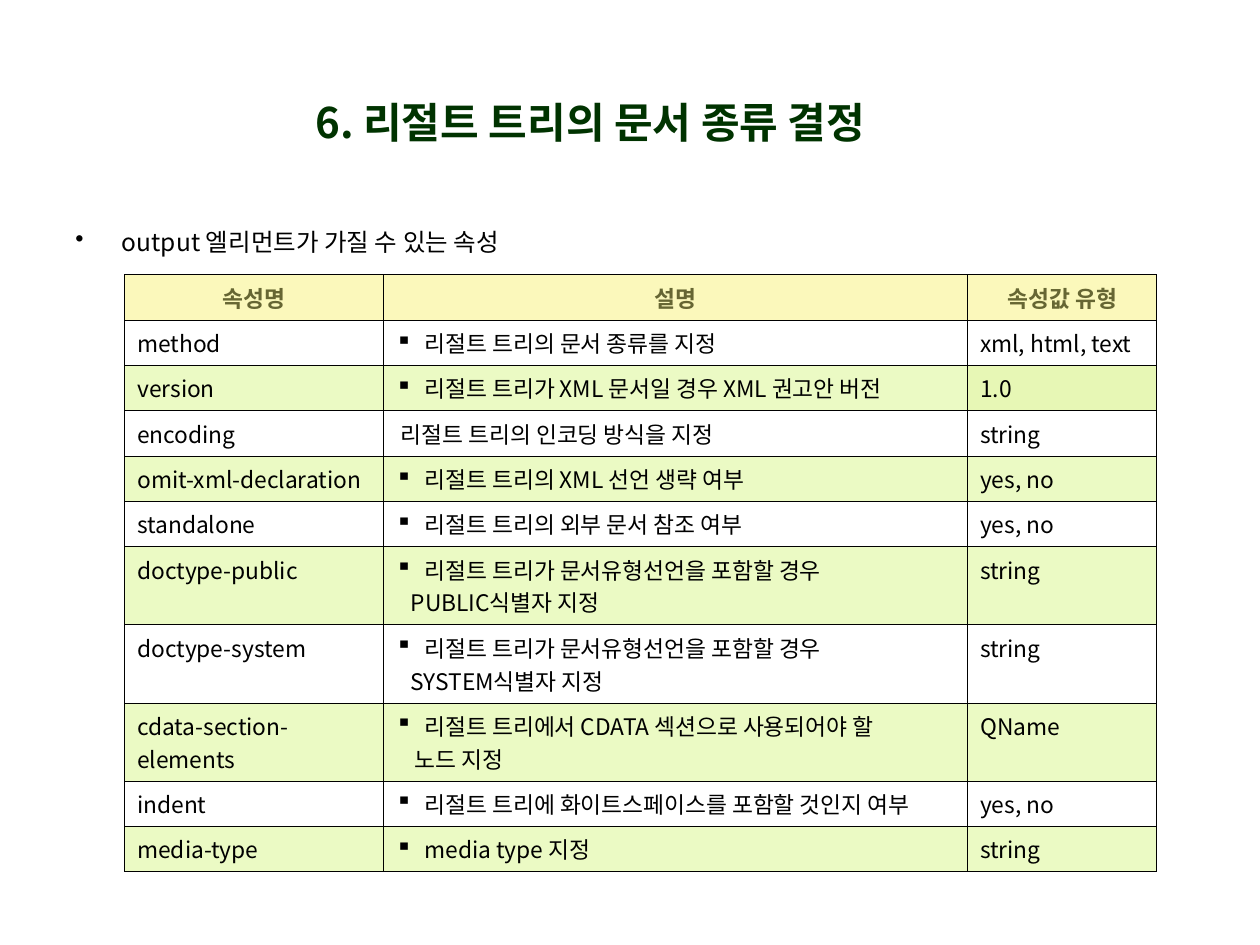
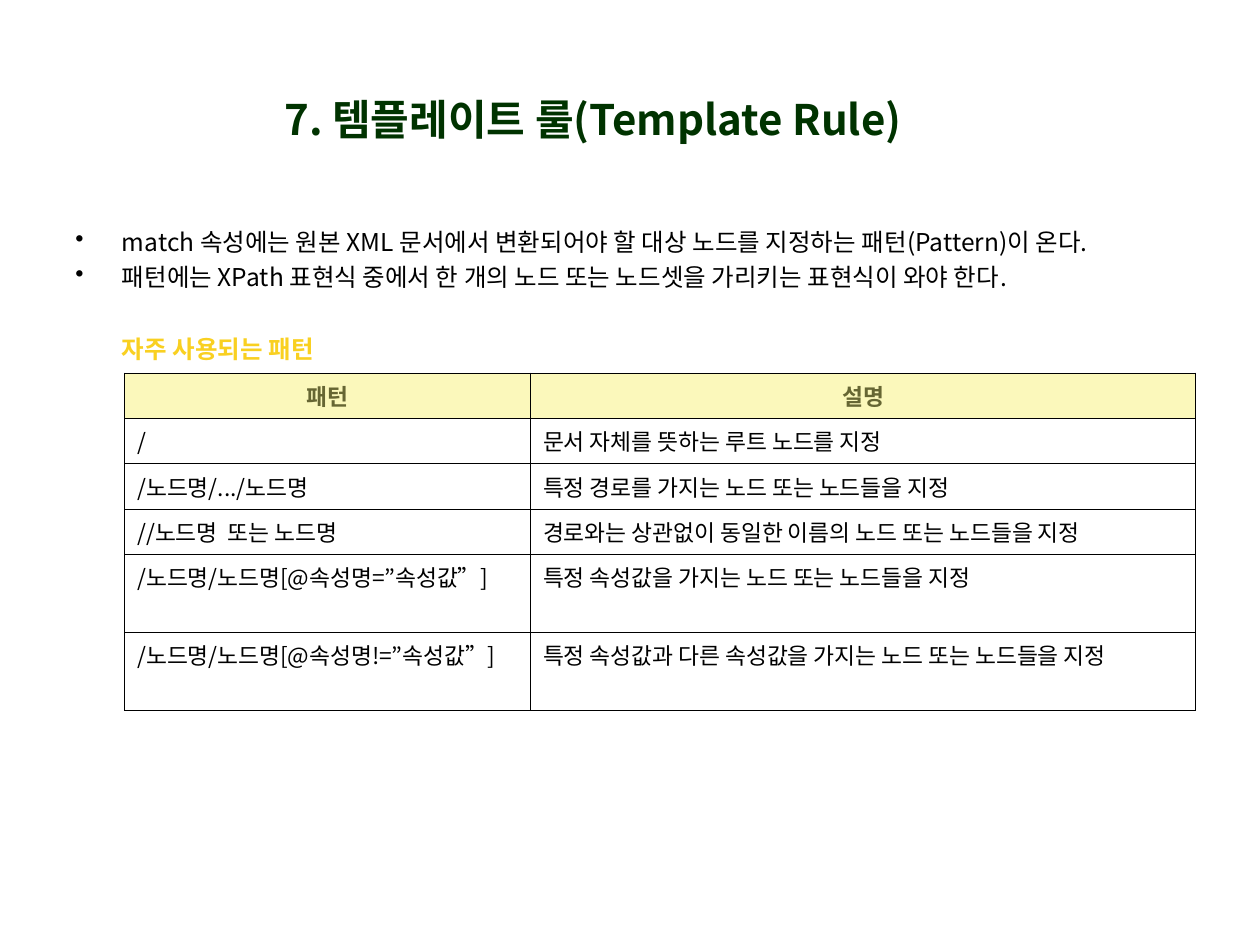
from lxml.etree import SubElement
from pptx import Presentation
from pptx.dml.color import RGBColor
from pptx.enum.text import MSO_ANCHOR, PP_ALIGN
from pptx.oxml.ns import qn
from pptx.util import Inches, Pt

FONT = "Noto Sans CJK KR"
BLACK = "000000"
HEADER_FILL = "FBF8BB"
BAND_FILL = "EBFAC4"
TITLE = {"size": Pt(24), "bold": True, "color": "003300"}
BODY = {"size": Pt(14), "bold": False, "color": BLACK}
CAPTION = {"size": Pt(14), "bold": True, "color": "F9D021"}
HEADER = {"size": Pt(13), "bold": True, "color": "666633"}
CELL = {"size": Pt(13), "bold": False, "color": BLACK}
ROW = 0.36
TALL_ROW = 0.62


def rgb(value):
    return RGBColor.from_string(value)


def write(paragraph, text, style, align=PP_ALIGN.LEFT, margin=0, bullet=None, before=0):
    paragraph.alignment = align
    paragraph.space_before = Pt(before)
    properties = paragraph._p.get_or_add_pPr()
    properties.set("marL", str(Inches(margin)))
    properties.set("indent", str(Inches(-margin if bullet else 0)))
    if bullet:
        SubElement(properties, qn("a:buChar")).set("char", bullet)
    else:
        SubElement(properties, qn("a:buNone"))
    run = paragraph.add_run()
    run.text = text
    run.font.name = FONT
    for name, value in style.items():
        if name == "color":
            run.font.color.rgb = rgb(value)
        else:
            setattr(run.font, name, value)


slides = [
    {
        "title": "6. 리절트 트리의 문서 종류 결정",
        "title_at": (1.81, 0.74),
        "bullets": ["output 엘리먼트가 가질 수 있는 속성"],
        "caption": None,
        "body_height": 0.35,
        "table_top": 2.18,
        "columns": [2.05, 4.64, 1.5],
        "tall_rows": [6, 7, 8],
        "banded": True,
        "bullet_column": 1,
        "rows": [
            ["속성명", "설명", "속성값 유형"],
            ["method", "리절트 트리의 문서 종류를 지정", "xml, html, text"],
            ["version", "리절트 트리가 XML 문서일 경우 XML 권고안 버전", "1.0"],
            ["encoding", "리절트 트리의 인코딩 방식을 지정", "string"],
            ["omit-xml-declaration", "리절트 트리의 XML 선언 생략 여부", "yes, no"],
            ["standalone", "리절트 트리의 외부 문서 참조 여부", "yes, no"],
            ["doctype-public", "리절트 트리가 문서유형선언을 포함할 경우\nPUBLIC식별자 지정", "string"],
            ["doctype-system", "리절트 트리가 문서유형선언을 포함할 경우\nSYSTEM식별자 지정", "string"],
            ["cdata-section-elements", "리절트 트리에서 CDATA 섹션으로 사용되어야 할\n노드 지정", "QName"],
            ["indent", "리절트 트리에 화이트스페이스를 포함할 것인지 여부", "yes, no"],
            ["media-type", "media type 지정", "string"],
        ],
    },
    {
        "title": "7. 템플레이트 룰(Template Rule)",
        "title_at": (1.83, 0.71),
        "bullets": [
            "match 속성에는 원본 XML 문서에서 변환되어야 할 대상 노드를 지정하는 패턴(Pattern)이 온다.",
            "패턴에는 XPath 표현식 중에서 한 개의 노드 또는 노드셋을 가리키는 표현식이 와야 한다.",
        ],
        "caption": "자주 사용되는 패턴",
        "body_height": 1.21,
        "table_top": 2.96,
        "columns": [3.22, 5.28],
        "tall_rows": [4, 5],
        "banded": False,
        "bullet_column": None,
        "rows": [
            ["패턴", "설명"],
            ["/", "문서 자체를 뜻하는 루트 노드를 지정"],
            ["/노드명/.../노드명", "특정 경로를 가지는 노드 또는 노드들을 지정"],
            ["//노드명  또는 노드명", "경로와는 상관없이 동일한 이름의 노드 또는 노드들을 지정"],
            ["/노드명/노드명[@속성명=”속성값”]", "특정 속성값을 가지는 노드 또는 노드들을 지정"],
            ["/노드명/노드명[@속성명!=”속성값”]", "특정 속성값과 다른 속성값을 가지는 노드 또는 노드들을 지정"],
        ],
    },
]

presentation = Presentation()
presentation.slide_width = Inches(10)
presentation.slide_height = Inches(7.5)

for content in slides:
    slide = presentation.slides.add_slide(presentation.slide_layouts[6])

    left, top = content["title_at"]
    title = slide.shapes.add_textbox(Inches(left), Inches(top), Inches(5.75), Inches(0.46))
    title.text_frame.word_wrap = True
    title.text_frame.vertical_anchor = MSO_ANCHOR.MIDDLE
    write(title.text_frame.paragraphs[0], content["title"], TITLE, PP_ALIGN.CENTER)

    body = slide.shapes.add_textbox(
        Inches(0.5), Inches(1.75), Inches(9.07), Inches(content["body_height"]))
    body.text_frame.word_wrap = True
    for index, text in enumerate(content["bullets"]):
        paragraph = body.text_frame.add_paragraph() if index else body.text_frame.paragraphs[0]
        write(paragraph, text, BODY, margin=0.37, bullet="•", before=3.5 if index else 0)
    if content["caption"]:
        write(body.text_frame.add_paragraph(), content["caption"], CAPTION, margin=0.37, before=24)

    rows, columns = content["rows"], content["columns"]
    heights = [TALL_ROW if index in content["tall_rows"] else ROW for index in range(len(rows))]
    table = slide.shapes.add_table(
        len(rows), len(columns), Inches(0.99), Inches(content["table_top"]),
        Inches(sum(columns)), Inches(sum(heights))).table
    table.first_row = False
    table.horz_banding = False
    for column, width in zip(table.columns, columns):
        column.width = Inches(width)
    for row, height in zip(table.rows, heights):
        row.height = Inches(height)

    for row_index, row in enumerate(rows):
        for column_index, text in enumerate(row):
            cell = table.cell(row_index, column_index)
            for side in ("lnL", "lnR", "lnT", "lnB"):
                border = SubElement(cell._tc.get_or_add_tcPr(), qn("a:" + side), w=str(Pt(0.45)))
                SubElement(SubElement(border, qn("a:solidFill")), qn("a:srgbClr")).set("val", BLACK)

            fill = None
            if row_index == 0:
                fill = HEADER_FILL
            elif content["banded"] and row_index % 2 == 0:
                fill = "E7F7B5" if text == "1.0" else BAND_FILL
            if fill:
                cell.fill.solid()
                cell.fill.fore_color.rgb = rgb(fill)
            else:
                cell.fill.background()

            for line_index, line in enumerate(text.split("\n")):
                frame = cell.text_frame
                paragraph = frame.add_paragraph() if line_index else frame.paragraphs[0]
                if row_index == 0:
                    write(paragraph, line, HEADER, PP_ALIGN.CENTER)
                elif column_index != content["bullet_column"]:
                    write(paragraph, line, CELL)
                elif line_index:
                    write(paragraph, line, CELL, margin=0.15 if line == "노드 지정" else 0.12)
                elif row[0] == "encoding":
                    write(paragraph, line, CELL, margin=0.04)
                else:
                    write(paragraph, line, CELL, margin=0.23, bullet="▪")

presentation.save("out.pptx")
